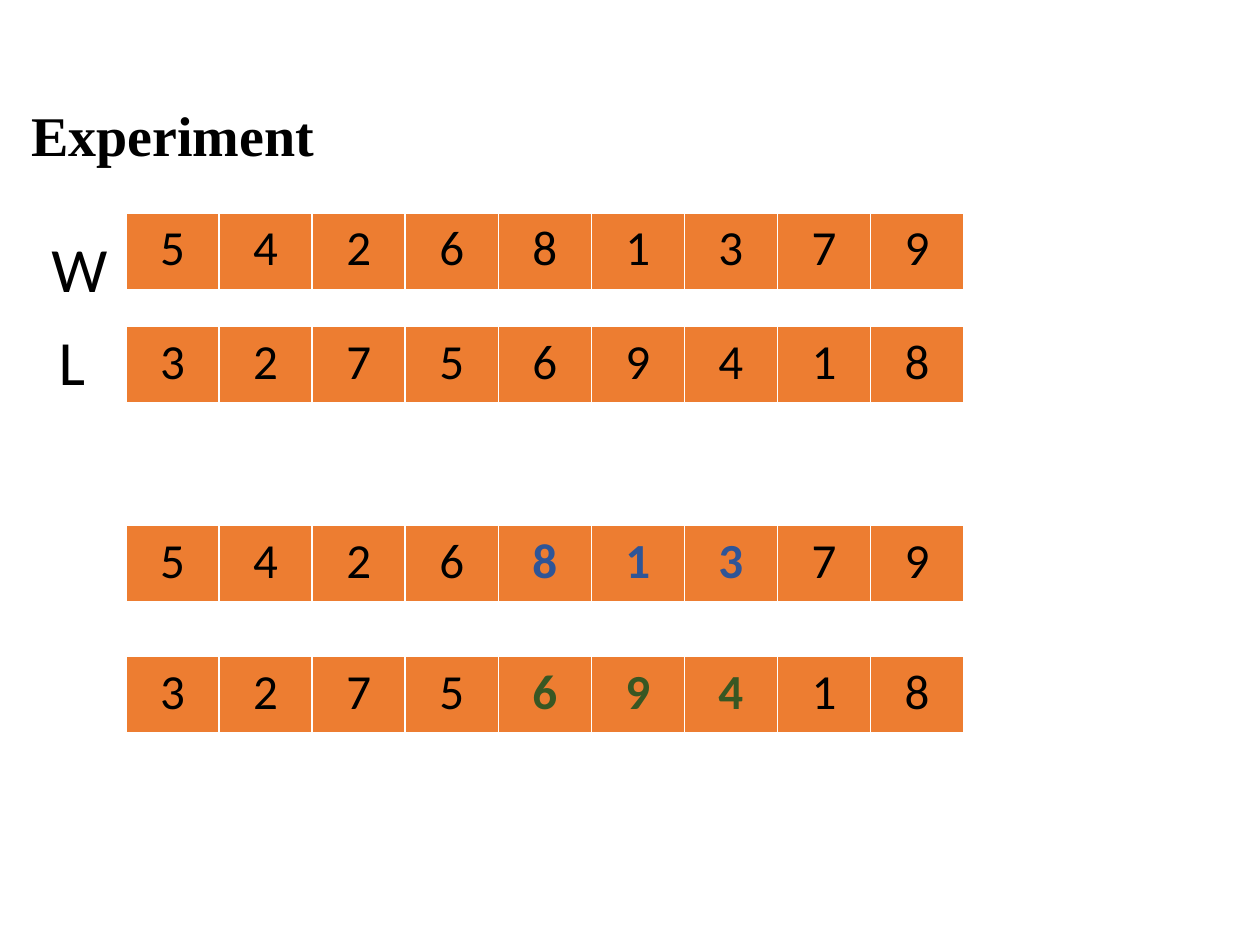
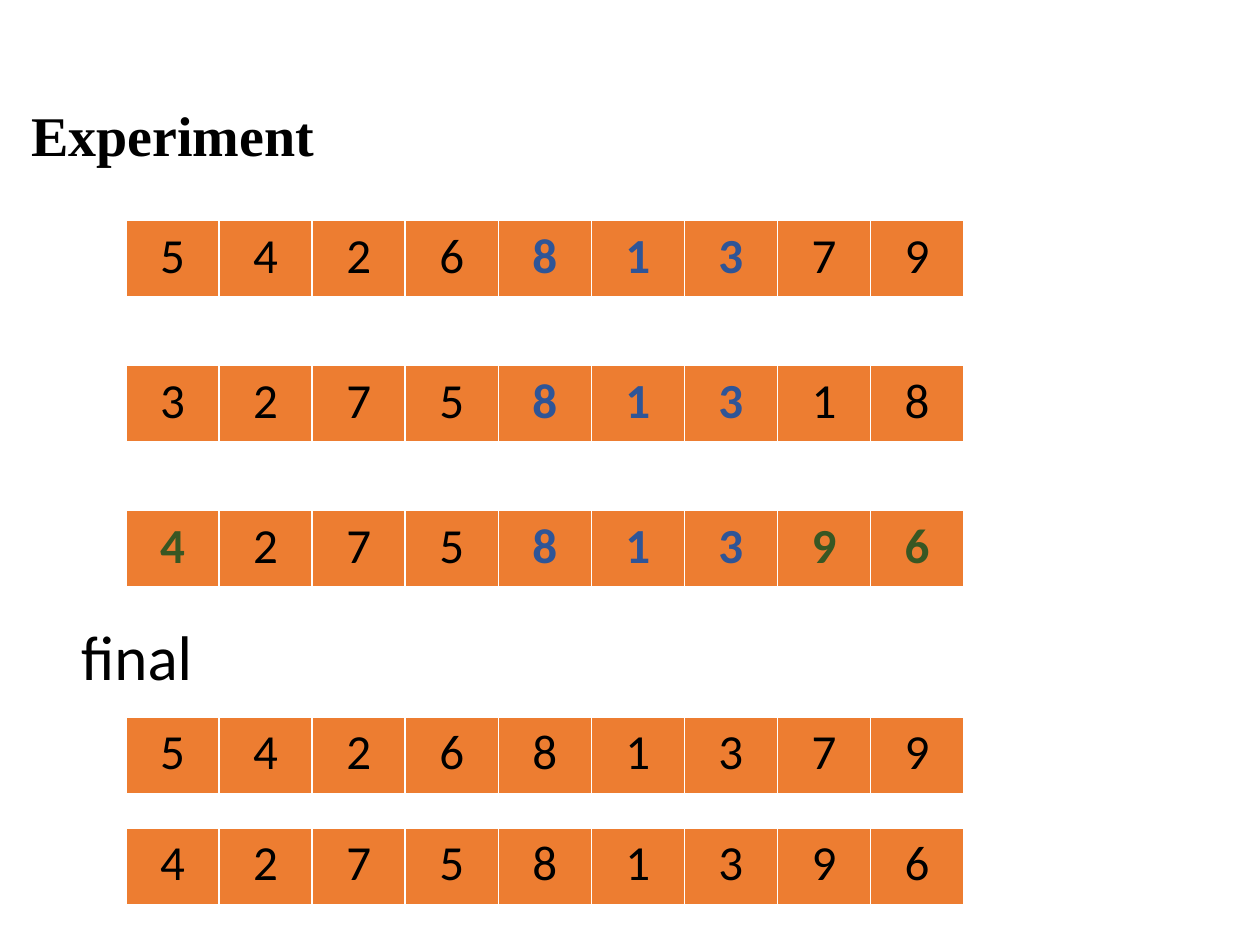
import lxml.etree
import pptx
import pptx.dml.color
import pptx.enum.text
import pptx.oxml.ns
import pptx.util

Inches = pptx.util.Inches
Pt = pptx.util.Pt
ALIGN = pptx.enum.text.PP_ALIGN
ANCHOR = pptx.enum.text.MSO_ANCHOR

BLACK, WHITE, ORANGE = "000000", "FFFFFF", "ED7D31"
INKS = {".": BLACK, "b": "2F5597", "g": "385723"}
TITLE = {"name": "Times New Roman", "size": Pt(32), "bold": True}
LABEL = {"name": "Calibri", "size": Pt(36), "bold": False}
DIGIT = {"name": "Calibri", "size": Pt(28), "bold": False}
EDGES = {"L": 1, "R": 1, "T": 1, "B": 3}
LEFT, WIDTH, HEIGHT = 1, 6.65, 0.62
PLAIN = "." * 9
MIDDLE = "....bbb.."


def color(code):
    return pptx.dml.color.RGBColor.from_string(code)


def write(frame, text, style, align, ink=BLACK):
    par = frame.paragraphs[0]
    par.alignment = align
    run = par.add_run()
    run.text = text
    for key, value in style.items():
        setattr(run.font, key, value)
    run.font.color.rgb = color(ink)
    return par


def add_text(slide, text, box, style, align=ALIGN.CENTER):
    frame = slide.shapes.add_textbox(*map(Inches, box)).text_frame
    frame.word_wrap = True
    return frame, write(frame, text, style, align)


def add_title(slide, text):
    frame, par = add_text(slide, text, (0.15, 0.78, 8.62, 0.64), TITLE, ALIGN.LEFT)
    frame.vertical_anchor = ANCHOR.MIDDLE
    par.line_spacing = 0.9


def add_edges(cell):
    qn = pptx.oxml.ns.qn
    props = cell._tc.get_or_add_tcPr()
    for side, width in EDGES.items():
        line = lxml.etree.SubElement(props, qn("a:ln" + side), w=str(Pt(width)))
        fill = lxml.etree.SubElement(line, qn("a:solidFill"))
        lxml.etree.SubElement(fill, qn("a:srgbClr"), val=WHITE)


def add_row(slide, top, digits, marks=PLAIN):
    box = map(Inches, (LEFT, top, WIDTH, HEIGHT))
    table = slide.shapes.add_table(1, len(digits), *box).table
    table.first_row = False
    table.horz_banding = False
    for cell, digit, mark in zip(table.rows[0].cells, digits, marks):
        add_edges(cell)
        cell.fill.solid()
        cell.fill.fore_color.rgb = color(ORANGE)
        style = {**DIGIT, "bold": mark != "."}
        write(cell.text_frame, digit, style, ALIGN.CENTER, INKS[mark])


def add_slide(deck, rows, labels):
    slide = deck.slides.add_slide(deck.slide_layouts[6])
    add_title(slide, "Experiment")
    for row in rows:
        add_row(slide, *row)
    for text, box in labels:
        add_text(slide, text, box, LABEL)


def main():
    deck = pptx.Presentation()
    deck.slide_width = Inches(10)
    deck.slide_height = Inches(7.5)
    winner, loser, child = "542681379", "327569418", "427581396"
    add_slide(
        deck,
        [
            (1.69, winner),
            (2.59, loser),
            (4.17, winner, MIDDLE),
            (5.21, loser, "....ggg.."),
        ],
        [("L", (0.32, 2.51, 0.5, 0.71)), ("W", (0.31, 1.77, 0.5, 0.71))],
    )
    add_slide(
        deck,
        [
            (1.75, winner, MIDDLE),
            (2.9, "327581318", MIDDLE),
            (4.05, child, "g...bbbgg"),
            (5.69, winner),
            (6.57, child),
        ],
        [("final", (0, 4.85, 2.17, 0.71))],
    )
    deck.save("out.pptx")


if __name__ == "__main__":
    main()
